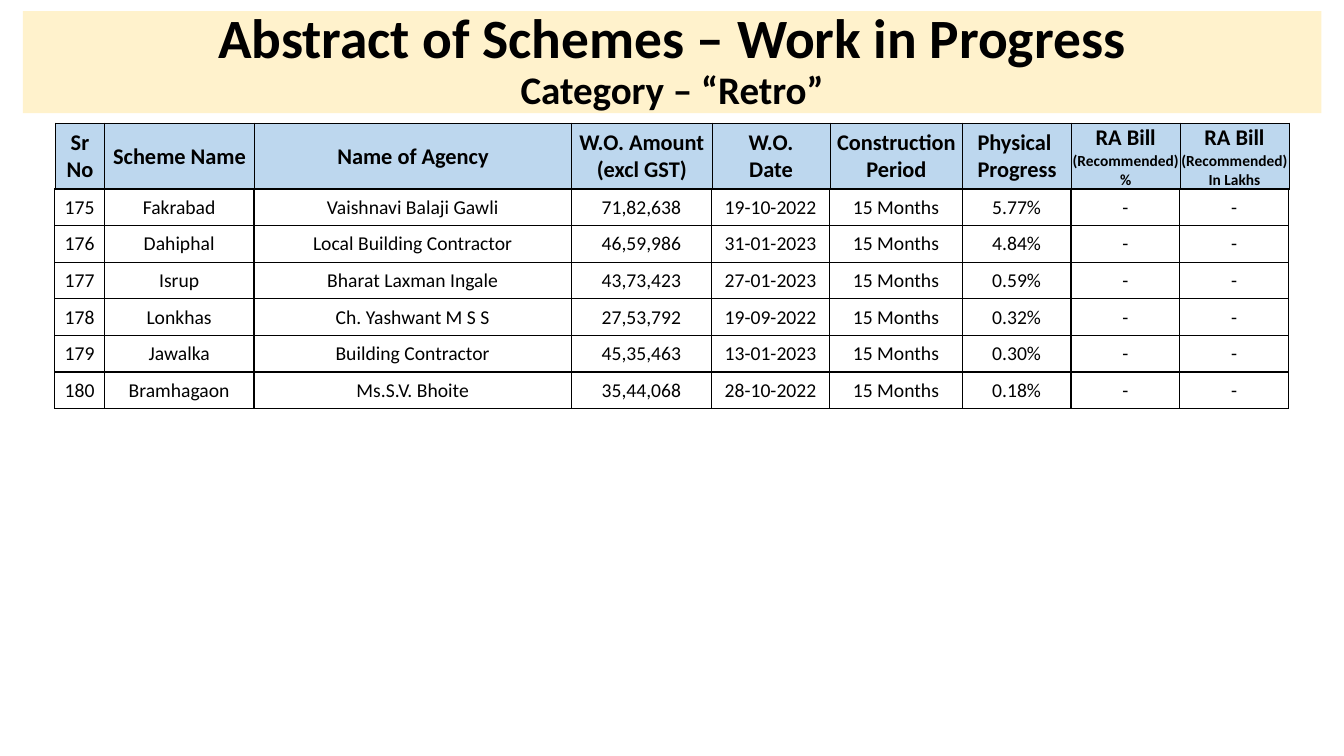
from dataclasses import dataclass

from lxml.etree import SubElement
from pptx import Presentation
from pptx.dml.color import RGBColor
from pptx.enum.shapes import MSO_SHAPE
from pptx.enum.text import MSO_ANCHOR, PP_ALIGN
from pptx.oxml.ns import qn
from pptx.util import Cm, Pt


@dataclass(frozen=True)
class Theme:
    """Colours, font and type sizes of the slide."""
    font: str = "Calibri"
    ink: str = "000000"
    band: str = "FFF2CC"
    head: str = "BDD7EE"
    title: float = 39.6
    sub: float = 27.9
    label: float = 16
    note: float = 11
    body: float = 14
    thin: float = 0.5
    line: float = 1


THEME = Theme()
WIDTHS = [1.25, 3.77, 8, 3.53, 2.98, 3.34, 2.74, 2.74, 2.74]
LABELS = [
    "Sr No", "Scheme Name", "Name of Agency", "W.O. Amount\v(excl GST)",
    "W.O.\vDate", "Construction\vPeriod", "Physical \nProgress",
    "RA Bill\n(Recommended)\n%", "RA Bill\n(Recommended)\nIn Lakhs",
]
SCHEMES = [
    ("Fakrabad", "Vaishnavi Balaji Gawli", "71,82,638", "19-10-2022", "5.77%"),
    ("Dahiphal", "Local Building Contractor", "46,59,986", "31-01-2023", "4.84%"),
    ("Isrup", "Bharat Laxman Ingale", "43,73,423", "27-01-2023", "0.59%"),
    ("Lonkhas", "Ch. Yashwant M S S", "27,53,792", "19-09-2022", "0.32%"),
    ("Jawalka", "Building Contractor", "45,35,463", "13-01-2023", "0.30%"),
    ("Bramhagaon", "Ms.S.V. Bhoite", "35,44,068", "28-10-2022", "0.18%"),
]


def add_run(para, text, size, bold):
    """Add one styled run to a paragraph."""
    run = para.add_run()
    run.text = text
    run.font.name = THEME.font
    run.font.size = Pt(size)
    run.font.bold = bold
    run.font.color.rgb = RGBColor.from_string(THEME.ink)


def add_edge(cell, side, width):
    """Draw one border of a cell."""
    edge = SubElement(cell._tc.get_or_add_tcPr(), qn(f"a:ln{side}"), w=str(Pt(width)))
    fill = SubElement(edge, qn("a:solidFill"))
    SubElement(fill, qn("a:srgbClr"), val=THEME.ink)


def fill_cell(cell, text, sizes, bold, edges):
    """Write centred text into a cell and draw its borders."""
    cell.vertical_anchor = MSO_ANCHOR.MIDDLE
    cell.margin_left = cell.margin_right = cell.margin_top = Cm(0.02)
    cell.margin_bottom = 0
    for side, width in zip("LRTB", edges):
        add_edge(cell, side, width)
    frame = cell.text_frame
    for i, part in enumerate(text.split("\n")):
        para = frame.add_paragraph() if i else frame.paragraphs[0]
        para.alignment = PP_ALIGN.CENTER
        for j, row in enumerate(part.split("\v")):
            if j:
                para.add_line_break()
            add_run(para, row, sizes[i], bold)


def add_grid(slide, left, top, height, count):
    """Add a plain table with the shared column widths."""
    shape = slide.shapes.add_table(
        count, len(WIDTHS), Cm(left), Cm(top), Cm(sum(WIDTHS)), Cm(height))
    grid = shape.table
    grid.first_row = grid.horz_banding = False
    for col, width in zip(grid.columns, WIDTHS):
        col.width = Cm(width)
    for row in grid.rows:
        row.height = Cm(height / count)
    return grid


def add_title(slide, left, top, width, height):
    """Place the title band with its two lines."""
    band = slide.shapes.add_shape(
        MSO_SHAPE.RECTANGLE, Cm(left), Cm(top), Cm(width), Cm(height))
    band.shadow.inherit = False
    band.fill.solid()
    band.fill.fore_color.rgb = RGBColor.from_string(THEME.band)
    band.line.fill.background()
    frame = band.text_frame
    frame.word_wrap = True
    frame.vertical_anchor = MSO_ANCHOR.MIDDLE
    frame.margin_top = frame.margin_bottom = 0
    para = frame.paragraphs[0]
    para.alignment = PP_ALIGN.CENTER
    para.line_spacing = 0.9
    add_run(para, "Abstract of Schemes – Work in Progress", THEME.title, True)
    para.add_line_break()
    add_run(para, "Category – “Retro”", THEME.sub, True)


def add_head(slide, left, top, height):
    """Place the row of column labels."""
    grid = add_grid(slide, left, top, height, 1)
    edges = [THEME.thin] * 3 + [THEME.line]
    for cell, text in zip(grid.rows[0].cells, LABELS):
        rest = THEME.note if text.startswith("RA") else THEME.label
        fill_cell(cell, text, [THEME.label, rest, rest], True, edges)
        cell.fill.solid()
        cell.fill.fore_color.rgb = RGBColor.from_string(THEME.head)


def add_body(slide, left, top, height):
    """Place the numbered scheme rows."""
    grid = add_grid(slide, left, top, height, len(SCHEMES))
    for num, (row, scheme) in enumerate(zip(grid.rows, SCHEMES), 175):
        *facts, done = scheme
        texts = [str(num), *facts, "15 Months", done, "-", "-"]
        for cell, text in zip(row.cells, texts):
            fill_cell(cell, text, [THEME.body], False, [THEME.line] * 4)
            cell.fill.background()


def main():
    """Build and save the slide."""
    deck = Presentation()
    deck.slide_width, deck.slide_height = Cm(33.87), Cm(19.05)
    slide = deck.slides.add_slide(deck.slide_layouts[6])
    add_title(slide, 0.58, 0.28, 32.72, 2.57)
    add_head(slide, 1.39, 3.1, 1.66)
    add_body(slide, 1.38, 4.76, 5.54)
    deck.save("out.pptx")


if __name__ == "__main__":
    main()
